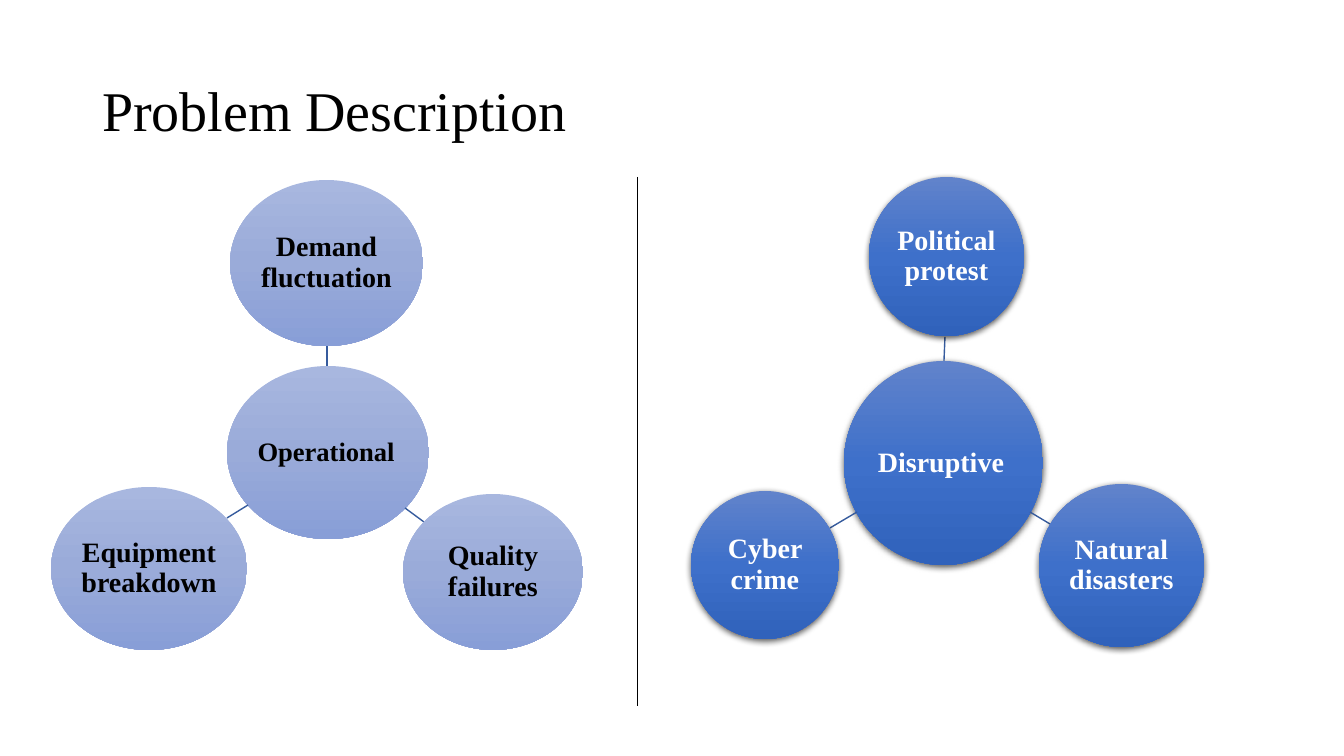
from lxml import etree
from pptx import Presentation
from pptx.dml.color import RGBColor
from pptx.enum.shapes import MSO_CONNECTOR, MSO_SHAPE
from pptx.enum.text import MSO_ANCHOR, MSO_AUTO_SIZE, PP_ALIGN
from pptx.oxml import parse_xml
from pptx.oxml.ns import nsdecls, qn
from pptx.util import Pt

STRAIGHT = MSO_CONNECTOR.STRAIGHT
OVAL = MSO_SHAPE.OVAL
MIDDLE = MSO_ANCHOR.MIDDLE
NO_AUTOFIT = MSO_AUTO_SIZE.NONE
LEFT, CENTER = PP_ALIGN.LEFT, PP_ALIGN.CENTER

EMU_PER_PIXEL = 914400 / 100.8
SERIF = "Times New Roman"
BLACK, WHITE, SPOKE_BLUE = "000000", "FFFFFF", "365B9D"
PALE_BLUES = ("A8B7DF", "9AABD9", "889ED7")
DEEP_BLUES = ("6183CB", "3E70CA", "3062BB")

OPERATIONAL_RISKS = [
    ((230, 180, 193, 166), "Demand fluctuation"),
    ((403, 494, 180, 156), "Quality failures"),
    ((51, 487, 196, 163), "Equipment breakdown"),
]
OPERATIONAL_SPOKES = [
    (327, 366, 327, 346), (405, 508, 424, 522), (248, 505, 227, 518),
]
DISRUPTIVE_RISKS = [
    ((869, 177, 155, 159), "Political protest"),
    ((1039, 484, 165, 163), "Natural disasters"),
    ((691, 491, 148, 148), "Cyber crime"),
]
DISRUPTIVE_SPOKES = [
    (944, 361, 945, 337), (1030, 512, 1050, 524), (857, 512, 830, 528),
]


def px(*lengths):
    """Turn pixel lengths into EMU."""
    return [round(length * EMU_PER_PIXEL) for length in lengths]


def color(hex_code):
    """Turn a hex string into a colour."""
    return RGBColor.from_string(hex_code)


def add_run(paragraph, wording, size, hex_code, bold=False, font=SERIF):
    """Append one formatted run to a paragraph."""
    run = paragraph.add_run()
    run.text = wording
    run.font.name = font
    run.font.size = Pt(size)
    run.font.bold = bold
    run.font.color.rgb = color(hex_code)


def add_title(slide, box, wording):
    """Place and fill the title placeholder."""
    title = slide.shapes.title
    title.left, title.top, title.width, title.height = px(*box)
    frame = title.text_frame
    frame.auto_size = NO_AUTOFIT
    frame.vertical_anchor = MIDDLE
    heading = frame.paragraphs[0]
    heading.alignment = LEFT
    heading.line_spacing = 0.9
    add_run(heading, wording, 40, BLACK)


def add_line(shapes, ends, hex_code, width):
    """Draw a straight line without a shadow."""
    line = shapes.add_connector(STRAIGHT, *px(*ends))
    line.line.color.rgb = color(hex_code)
    line.line.width = Pt(width)
    etree.SubElement(line._element.spPr, qn("a:effectLst"))


def shade(bubble, blues):
    """Fill a bubble with an even gradient from top to bottom."""
    stops = "".join(
        f'<a:gs pos="{step * 50000}"><a:srgbClr val="{blue}"/></a:gs>'
        for step, blue in enumerate(blues))
    gradient = parse_xml(
        f'<a:gradFill {nsdecls("a")} rotWithShape="1"><a:gsLst>{stops}</a:gsLst>'
        '<a:lin ang="5400000" scaled="0"/></a:gradFill>')
    bubble._element.spPr.find(qn("a:prstGeom")).addnext(gradient)


def cast_shadow(bubble):
    """Give a bubble a soft shadow below it."""
    effects = bubble._element.spPr.find(qn("a:effectLst"))
    effects.append(parse_xml(
        f'<a:outerShdw {nsdecls("a")} blurRad="57150" dist="19050" dir="5400000" '
        'algn="ctr" rotWithShape="0"><a:srgbClr val="000000">'
        '<a:alpha val="63000"/></a:srgbClr></a:outerShdw>'))


def add_bubble(shapes, box, wording, blues, ink, size=20, align=CENTER, shadow=False):
    """Draw a labelled bubble and return its paragraph."""
    bubble = shapes.add_shape(OVAL, *px(*box))
    bubble.line.fill.background()
    bubble.shadow.inherit = False
    shade(bubble, blues)
    if shadow:
        cast_shadow(bubble)
    frame = bubble.text_frame
    frame.word_wrap = True
    frame.vertical_anchor = MIDDLE
    frame.margin_left = frame.margin_right = px(1)[0]
    frame.margin_top = frame.margin_bottom = px(1)[0]
    label = frame.paragraphs[0]
    label.alignment = align
    label.line_spacing = 0.9
    add_run(label, wording, size, ink, bold=True)
    return label


def add_risks(shapes, spokes, risks, blues, ink, shadow=False):
    """Draw the spokes of a hub and the risks at their ends."""
    for ends in spokes:
        add_line(shapes, ends, SPOKE_BLUE, 1)
    for box, wording in risks:
        add_bubble(shapes, box, wording, blues, ink, shadow=shadow)


def main():
    """Build the slide and save it."""
    deck = Presentation()
    deck.slide_width, deck.slide_height = px(1344, 756)
    slide = deck.slides.add_slide(deck.slide_layouts[5])
    add_title(slide, (92, 40, 1159, 146), "Problem Description")

    operational = slide.shapes.add_group_shape().shapes
    add_bubble(operational, (227, 366, 202, 173), "Operational",
               PALE_BLUES, BLACK, size=19, align=LEFT)
    add_risks(operational, OPERATIONAL_SPOKES, OPERATIONAL_RISKS, PALE_BLUES, BLACK)

    disruptive = slide.shapes.add_group_shape().shapes
    hub_label = add_bubble(disruptive, (844, 361, 199, 204), "Disruptive",
                           DEEP_BLUES, WHITE, shadow=True)
    add_run(hub_label, " ", 15, WHITE, font="Calibri")
    add_risks(disruptive, DISRUPTIVE_SPOKES, DISRUPTIVE_RISKS,
              DEEP_BLUES, WHITE, shadow=True)

    add_line(slide.shapes, (637, 177, 637, 706), BLACK, 0.5)
    deck.save("out.pptx")


main()
